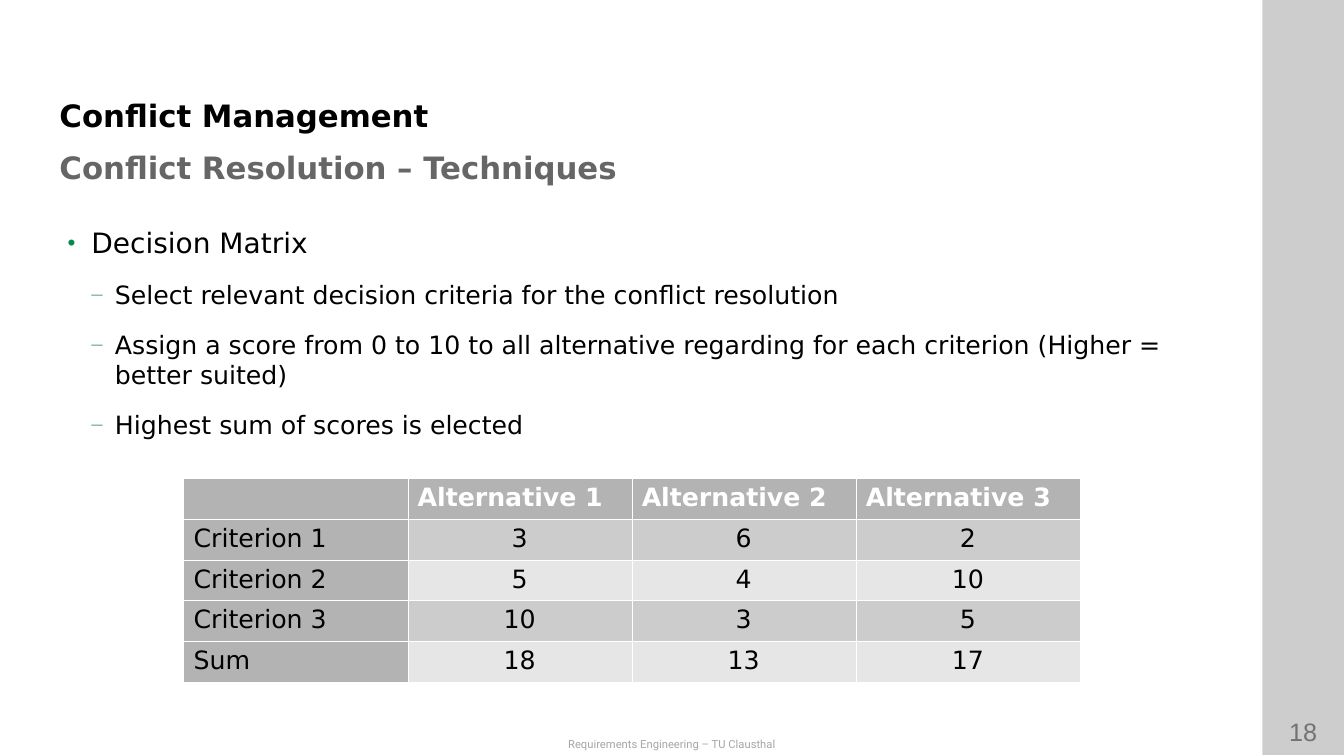
from lxml.etree import SubElement
from pptx import Presentation
from pptx.dml.color import RGBColor
from pptx.enum.shapes import MSO_SHAPE
from pptx.enum.text import MSO_ANCHOR, PP_ALIGN
from pptx.oxml import parse_xml
from pptx.oxml.ns import nsdecls, qn
from pptx.util import Inches, Pt


def color(hex_code):
    return RGBColor.from_string(hex_code)


def write(paragraph, text, size=18, font="DejaVu Sans", ink="000000",
          bold=False, align=PP_ALIGN.LEFT):
    """Put formatted text into a paragraph."""
    paragraph.alignment = align
    run = paragraph.add_run()
    run.text = text
    run.font.size = Pt(size)
    run.font.name = font
    run.font.bold = bold
    run.font.color.rgb = color(ink)


class LectureSlide:
    accent = "008C4F"
    header_gray = "B3B3B3"
    band_grays = ("CCCCCC", "E6E6E6")
    bullets = {0: ("•", 80, 20), 1: ("—", 45, 18)}  # sign, sign size in %, text size
    indent = 0.235
    paragraph_gap = 14.2

    def __init__(self, presentation):
        self.slide = presentation.slides.add_slide(presentation.slide_layouts[6])

    def side_panel(self, left, top, width, height, opacity):
        panel = self.slide.shapes.add_shape(
            MSO_SHAPE.RECTANGLE, Inches(left), Inches(top), Inches(width), Inches(height))
        panel.shadow.inherit = False
        panel.line.fill.background()
        panel.fill.solid()
        panel.fill.fore_color.rgb = color("000000")
        tint = panel.fill._xPr.find(".//" + qn("a:srgbClr"))
        SubElement(tint, qn("a:alpha")).set("val", str(opacity * 1000))

    def frame(self, left, top, width, height, anchor=MSO_ANCHOR.TOP, inset=(0, 0)):
        box = self.slide.shapes.add_textbox(
            Inches(left), Inches(top), Inches(width), Inches(height))
        frame = box.text_frame
        frame.word_wrap = True
        frame.vertical_anchor = anchor
        frame.margin_left = frame.margin_right = Inches(inset[0])
        frame.margin_top = frame.margin_bottom = Inches(inset[1])
        return frame

    def label(self, text, left, top, width, height, anchor=MSO_ANCHOR.TOP,
              inset=(0, 0), **style):
        frame = self.frame(left, top, width, height, anchor, inset)
        write(frame.paragraphs[0], text, **style)

    def bullet_list(self, items, left, top, width, height):
        frame = self.frame(left, top, width, height)
        for number, (level, text) in enumerate(items):
            paragraph = frame.add_paragraph() if number else frame.paragraphs[0]
            if number:
                paragraph.space_before = Pt(self.paragraph_gap)
            paragraph.level = level
            sign, percent, size = self.bullets[level]
            props = paragraph._p.get_or_add_pPr()
            props.set("marL", str(Inches(self.indent * (level + 1))))
            props.set("indent", str(-Inches(self.indent)))
            bullet_color = SubElement(props, qn("a:buClr"))
            SubElement(bullet_color, qn("a:srgbClr")).set("val", self.accent)
            SubElement(props, qn("a:buSzPct")).set("val", str(percent * 1000))
            SubElement(props, qn("a:buFont")).set("typeface", "Arial")
            SubElement(props, qn("a:buChar")).set("char", sign)
            write(paragraph, text, size=size)

    def matrix(self, rows, left, top, width, height):
        table = self.slide.shapes.add_table(
            len(rows), len(rows[0]), Inches(left), Inches(top),
            Inches(width), Inches(height)).table
        for r, row in enumerate(rows):
            for c, text in enumerate(row):
                cell = table.cell(r, c)
                is_header = r == 0 or c == 0
                cell.fill.solid()
                cell.fill.fore_color.rgb = color(
                    self.header_gray if is_header else self.band_grays[(r - 1) % 2])
                self.cell_borders(cell)
                if text:
                    write(cell.text_frame.paragraphs[0], text, bold=r == 0,
                          ink="FFFFFF" if r == 0 else "000000",
                          align=PP_ALIGN.LEFT if is_header else PP_ALIGN.CENTER)

    def cell_borders(self, cell, ink="FFFFFF", points=0.06):
        props = cell._tc.get_or_add_tcPr()
        for place, side in enumerate("LRTB"):
            props.insert(place, parse_xml(
                f'<a:ln{side} {nsdecls("a")} w="{Pt(points)}"><a:solidFill>'
                f'<a:srgbClr val="{ink}"/></a:solidFill></a:ln{side}>'))


def main():
    presentation = Presentation()
    presentation.slide_width = Inches(13.33)
    presentation.slide_height = Inches(7.5)
    lecture = LectureSlide(presentation)

    # Side strip: the page number lies between two translucent layers
    strip = (12.52, 0, 0.81, 7.49)
    lecture.side_panel(*strip, opacity=10)
    lecture.label("18", 12.51, 7.06, 0.83, 0.4, inset=(0.1, 0.05), size=18,
                  font="Arial", ink="808080", align=PP_ALIGN.CENTER)
    lecture.side_panel(*strip, opacity=10)

    # Footer
    lecture.label("Requirements Engineering – TU Clausthal", 0, 7.27, 13.33, 0.23,
                  inset=(0.1, 0.05), size=8, font="Roboto", ink="A6A6A6",
                  align=PP_ALIGN.CENTER)

    # Title and subtitle
    lecture.label("Conflict Management", 0.59, 0.79, 11.33, 0.54,
                  anchor=MSO_ANCHOR.BOTTOM, size=22, bold=True)
    lecture.label("Conflict Resolution – Techniques", 0.59, 1.39, 11.33, 0.54,
                  anchor=MSO_ANCHOR.MIDDLE, size=22, bold=True, ink="666666")

    # Explanation
    lecture.bullet_list([
        (0, "Decision Matrix"),
        (1, "Select relevant decision criteria for the conflict resolution"),
        (1, "Assign a score from 0 to 10 to all alternative regarding for each "
            "criterion (Higher = better suited)"),
        (1, "Highest sum of scores is elected"),
    ], 0.67, 2.24, 11.58, 2.2)

    # Decision matrix
    lecture.matrix([
        ("", "Alternative 1", "Alternative 2", "Alternative 3"),
        ("Criterion 1", "3", "6", "2"),
        ("Criterion 2", "5", "4", "10"),
        ("Criterion 3", "10", "3", "5"),
        ("Sum", "18", "13", "17"),
    ], 1.82, 4.74, 8.89, 2.03)

    presentation.save("out.pptx")


if __name__ == "__main__":
    main()
